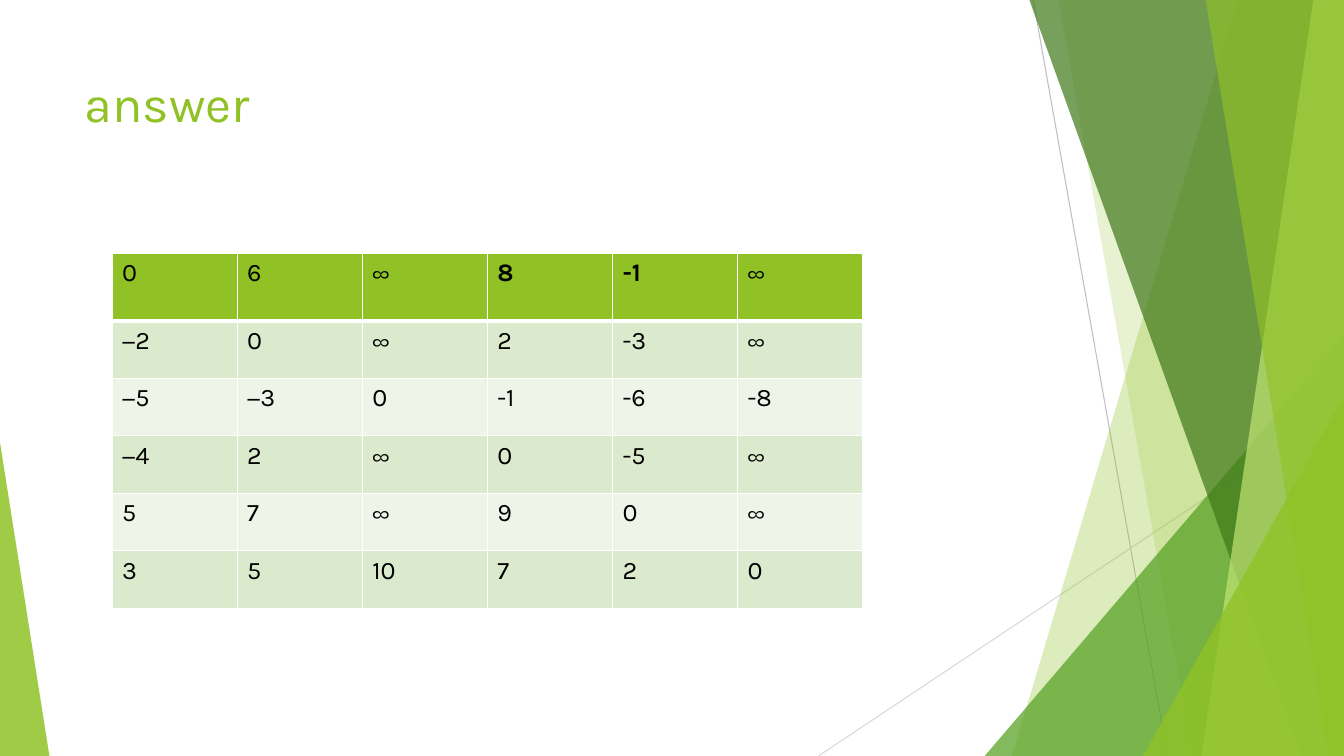
from lxml.etree import SubElement
from pptx import Presentation
from pptx.dml.color import RGBColor
from pptx.enum.shapes import MSO_CONNECTOR, MSO_SHAPE
from pptx.enum.text import MSO_ANCHOR, PP_ALIGN
from pptx.oxml.ns import qn
from pptx.util import Pt

TITLE = "answer"
ROWS = [
    ["0", "6", "∞", "8", "-1", "∞"],
    ["−2", "0", "∞", "2", "-3", "∞"],
    ["−5", "−3", "0", "-1", "-6", "-8"],
    ["−4", "2", "∞", "0", "-5", "∞"],
    ["5", "7", "∞", "9", "0", "∞"],
    ["3", "5", "10", "7", "2", "0"],
]
BOLD_CELLS = {(0, 3), (0, 4)}

COLORS = {
    "lime": "90C226", "green": "54A021", "forest": "3F7819", "pale": "C0E474",
    "line": "BFBFBF", "light line": "D9D9D9", "white": "FFFFFF", "black": "000000",
    "band": "DBE9CD", "light band": "EEF4E8",
}
FONT = "Karla"
WIDTH, HEIGHT = 960, 540
BAND_TOP = -0.6
TABLE_LEFT, TABLE_TOP = 80, 181.2
COL_WIDTH, HEADER_HEIGHT, ROW_HEIGHT = 89.4, 48, 41.1

# from x, from y, to x, to y, colour
LINES = [
    (738, 0, 834, HEIGHT, "line"),
    (WIDTH, 290, 584.6, HEIGHT, "light line"),
]
# Bands reach the right edge: x of the slanted side at top and bottom, colour, opacity %
# Triangles stand on the bottom edge: left, top, width, apex position, colour, opacity %
FACETS = [
    ("band", 884.2, 722.9, "lime", 30),
    ("band", 756, 851.8, "lime", 20),
    ("triangle", 703.4, 239.8, 256.6, 1, "green", 72),
    ("band", 735.1, 929.5, "forest", 70),
    ("band", 938.2, 858.2, "pale", 70),
    ("band", 861.1, 949, "lime", 65),
    ("triangle", 816.5, 283, 143.5, 1, "lime", 80),
    ("triangle", 0, 316.1, 35.3, 0, "lime", 85),
]


def rgb(name):
    return RGBColor.from_string(COLORS[name])


def set_font(font, **values):
    for name, value in values.items():
        setattr(font, name, value)


def add_line(shapes, x1, y1, x2, y2, color):
    line = shapes.add_connector(MSO_CONNECTOR.STRAIGHT, Pt(x1), Pt(y1), Pt(x2), Pt(y2))
    line.line.color.rgb = rgb(color)
    line.line.width = Pt(0.75)
    SubElement(line._element.spPr, qn("a:effectLst"))


def add_band(shapes, top_x, bottom_x):
    builder = shapes.build_freeform(Pt(top_x), Pt(BAND_TOP))
    corners = [(WIDTH, BAND_TOP), (WIDTH, HEIGHT), (bottom_x, HEIGHT)]
    builder.add_line_segments([(Pt(x), Pt(y)) for x, y in corners])
    return builder.convert_to_shape()


def add_triangle(shapes, left, top, width, apex):
    triangle = shapes.add_shape(MSO_SHAPE.ISOSCELES_TRIANGLE, Pt(left), Pt(top),
                                Pt(width), Pt(HEIGHT - top))
    triangle.adjustments[0] = apex
    return triangle


def add_facet(shapes, kind, *values):
    *geometry, color, opacity = values
    add = {"band": add_band, "triangle": add_triangle}[kind]
    facet = add(shapes, *geometry)
    facet.shadow.inherit = False
    facet.line.fill.background()
    facet.fill.solid()
    facet.fill.fore_color.rgb = rgb(color)
    srgb = facet._element.spPr.find(qn("a:solidFill"))[0]
    SubElement(srgb, qn("a:alpha"), val=str(opacity * 1000))


def add_borders(cell, row):
    tc_pr = cell._tc.get_or_add_tcPr()
    widths = {"L": 1, "R": 1, "T": 3 if row == 1 else 1, "B": 3 if row == 0 else 1}
    for side, width in widths.items():
        ln = SubElement(tc_pr, qn(f"a:ln{side}"), w=str(Pt(width)))
        fill = SubElement(ln, qn("a:solidFill"))
        SubElement(fill, qn("a:srgbClr"), val=COLORS["white"])


def add_matrix(shapes):
    n_rows, n_cols = len(ROWS), len(ROWS[0])
    frame = shapes.add_table(n_rows, n_cols, Pt(TABLE_LEFT), Pt(TABLE_TOP),
                             Pt(n_cols * COL_WIDTH),
                             Pt(HEADER_HEIGHT + (n_rows - 1) * ROW_HEIGHT))
    table = frame.table
    table.first_row = table.horz_banding = False
    for column in table.columns:
        column.width = Pt(COL_WIDTH)
    for i, values in enumerate(ROWS):
        table.rows[i].height = Pt(ROW_HEIGHT if i else HEADER_HEIGHT)
        color = "lime" if i == 0 else "band" if i % 2 else "light band"
        for j, value in enumerate(values):
            cell = table.cell(i, j)
            add_borders(cell, i)
            cell.fill.solid()
            cell.fill.fore_color.rgb = rgb(color)
            r = cell.text_frame.paragraphs[0].add_run()
            r.text = value
            set_font(r.font, name=FONT, size=Pt(18), bold=(i, j) in BOLD_CELLS)
            r.font.color.rgb = rgb("black")


def add_title(s):
    title = s.shapes.title
    box = {"left": 53.3, "top": 48, "width": 676.8, "height": 104}
    for name, value in box.items():
        setattr(title, name, Pt(value))
    tf = title.text_frame
    tf.word_wrap = True
    tf.vertical_anchor = MSO_ANCHOR.TOP
    p = tf.paragraphs[0]
    p.alignment = PP_ALIGN.LEFT
    r = p.add_run()
    r.text = TITLE
    set_font(r.font, name=FONT, size=Pt(36))
    r.font.color.rgb = rgb("lime")


def main():
    prs = Presentation()
    prs.slide_width, prs.slide_height = Pt(WIDTH), Pt(HEIGHT)
    s = prs.slides.add_slide(prs.slide_layouts[5])
    for line in LINES:
        add_line(s.shapes, *line)
    for facet in FACETS:
        add_facet(s.shapes, *facet)
    add_title(s)
    add_matrix(s.shapes)
    prs.save("out.pptx")


if __name__ == "__main__":
    main()
